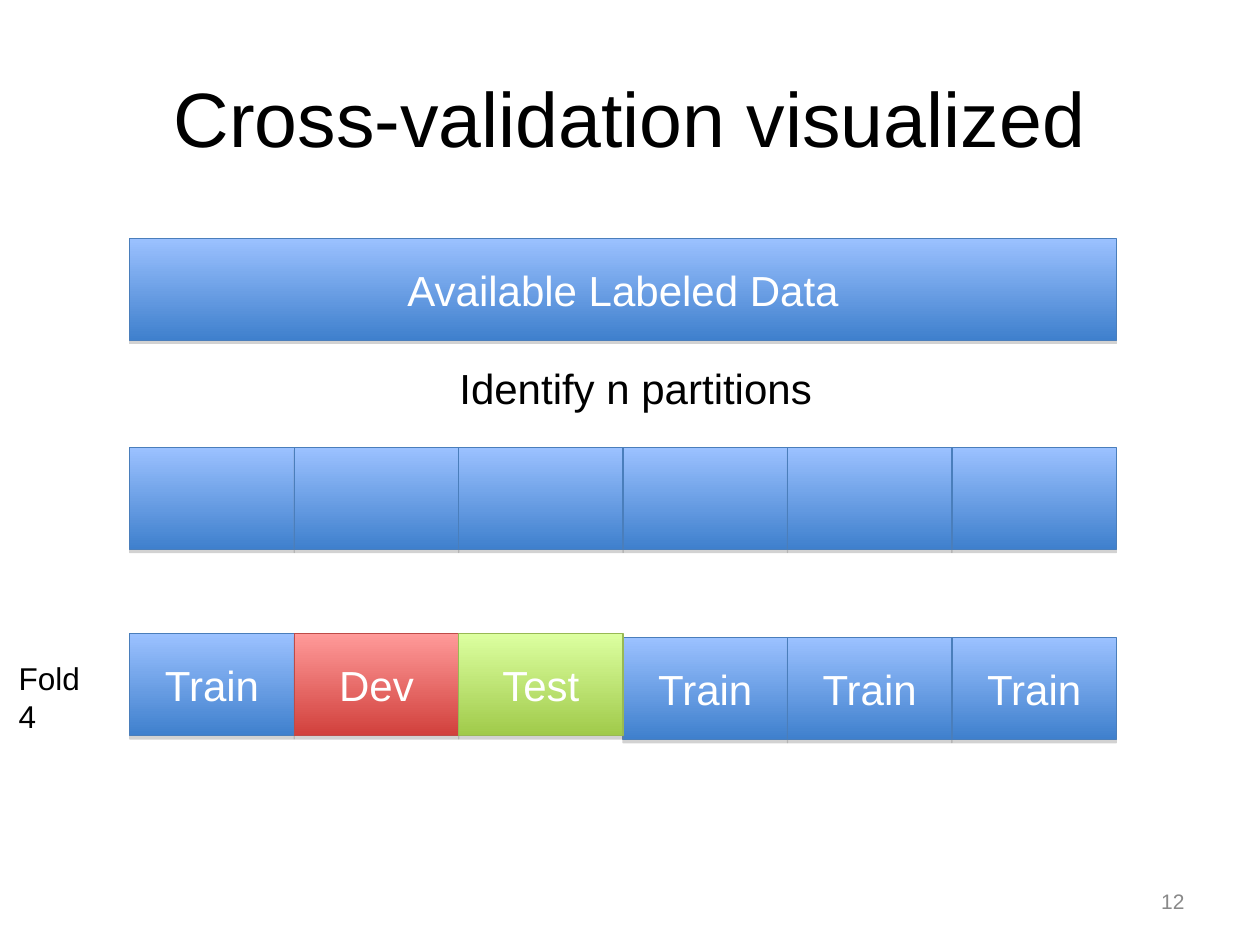
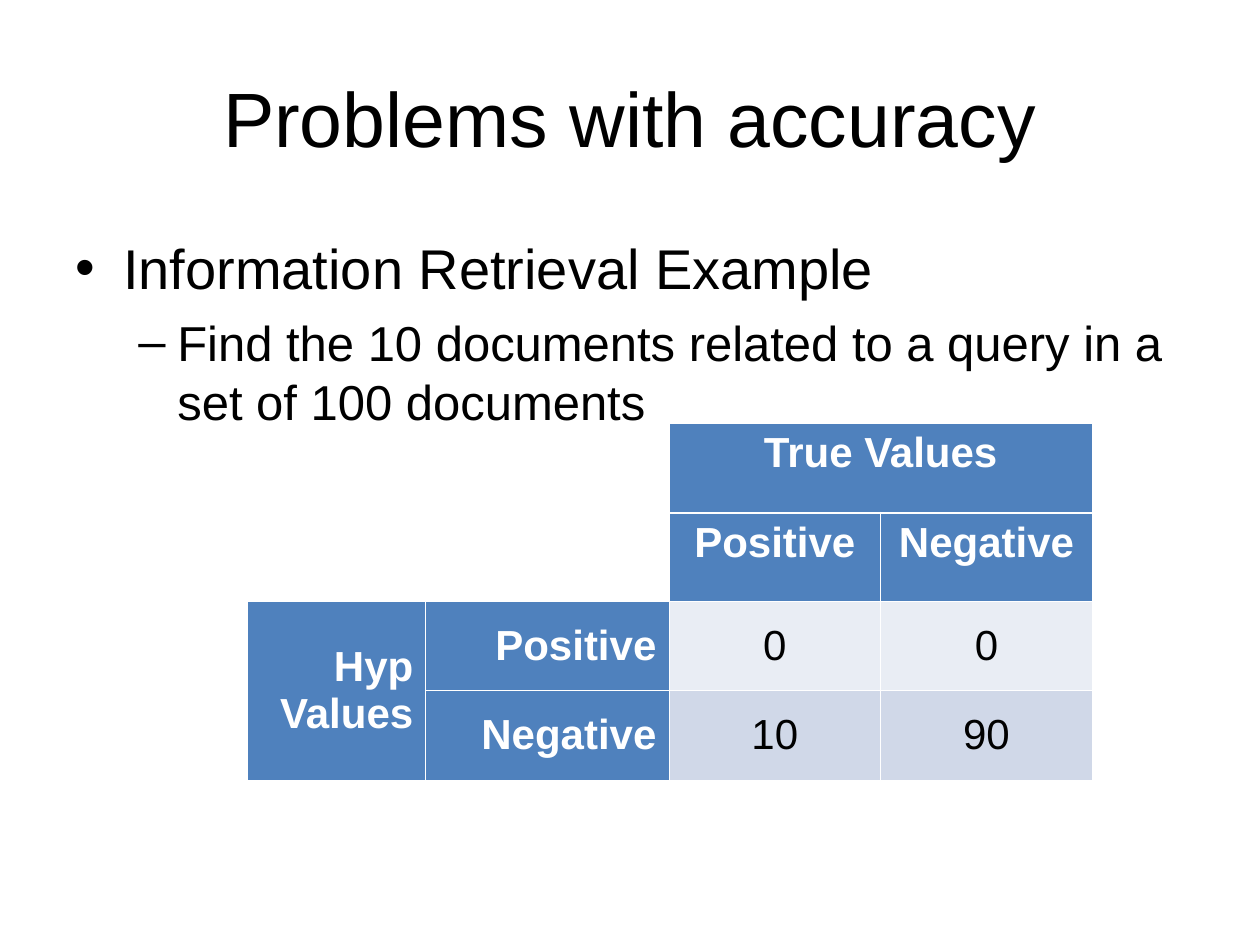
from lxml.etree import SubElement
from pptx import Presentation
from pptx.dml.color import RGBColor
from pptx.enum.shapes import MSO_SHAPE
from pptx.enum.text import MSO_ANCHOR, PP_ALIGN
from pptx.oxml.ns import qn
from pptx.util import Inches, Pt

FONT = "Arial"
BLACK = RGBColor(0x00, 0x00, 0x00)
WHITE = RGBColor(0xFF, 0xFF, 0xFF)
GRAY = RGBColor(0x89, 0x89, 0x89)
HEADER_BLUE = RGBColor(0x4F, 0x81, 0xBD)
ROW_TINTS = [RGBColor(0xE9, 0xED, 0xF4), RGBColor(0xD0, 0xD8, 0xE8)]
# Gradient top, gradient bottom, outline
BLUE = RGBColor(0x9B, 0xC1, 0xFF), RGBColor(0x3F, 0x80, 0xCD), RGBColor(0x4A, 0x7E, 0xBB)
RED = RGBColor(0xFF, 0x9A, 0x99), RGBColor(0xD1, 0x40, 0x3C), RGBColor(0xBE, 0x4B, 0x48)
GREEN = RGBColor(0xDC, 0xFF, 0xA0), RGBColor(0xA0, 0xCA, 0x4A), RGBColor(0x98, 0xB9, 0x54)


def add_text(paragraph, text, size, color=BLACK, align=PP_ALIGN.CENTER, bold=False):
    paragraph.alignment = align
    run = paragraph.add_run()
    run.text = text
    run.font.name = FONT
    run.font.size = Pt(size)
    run.font.bold = bold
    run.font.color.rgb = color


def add_block(slide, left, top, width, colors, label=""):
    """Add a gradient rectangle with a thin drop shadow and an optional label."""
    block = slide.shapes.add_shape(MSO_SHAPE.RECTANGLE, Inches(left), Inches(top),
                                   Inches(width), Inches(0.81))
    block.fill.gradient()
    block.fill.gradient_angle = 270
    for stop, color in zip(block.fill.gradient_stops, colors):
        stop.color.rgb = color
        stop.position = colors.index(color)
    block.line.color.rgb = colors[2]
    block.line.width = Pt(0.75)
    block.shadow.inherit = False
    effects = block._element.spPr.find(qn("a:effectLst"))
    shadow = SubElement(effects, qn("a:outerShdw"), blurRad="0", dist=str(Pt(1.8)),
                        dir="5400000", rotWithShape="0")
    shade = SubElement(shadow, qn("a:srgbClr"), val="808080")
    SubElement(shade, qn("a:alpha"), val="35000")
    if label:
        block.text_frame.vertical_anchor = MSO_ANCHOR.MIDDLE
        add_text(block.text_frame.paragraphs[0], label, 24, WHITE)


prs = Presentation()
prs.slide_width = Inches(10)
prs.slide_height = Inches(7.5)

slides = []
for heading in ["Cross-validation visualized", "Problems with accuracy"]:
    slide = prs.slides.add_slide(prs.slide_layouts[5])
    title = slide.shapes.title
    title.left, title.top = Inches(0.5), Inches(0.3)
    title.width, title.height = Inches(9), Inches(1.25)
    title.text_frame.vertical_anchor = MSO_ANCHOR.MIDDLE
    add_text(title.text_frame.paragraphs[0], heading, 44)
    slides.append(slide)
validation, accuracy = slides

# Cross-validation: whole data, partitions, one fold
DATA_LEFT, DATA_WIDTH = 1.03, 7.83
PART_WIDTH = DATA_WIDTH / 6
add_block(validation, DATA_LEFT, 1.89, DATA_WIDTH, BLUE, "Available Labeled Data")
for part in range(6):
    add_block(validation, DATA_LEFT + part * PART_WIDTH, 3.55, PART_WIDTH, BLUE)

# The last three blocks sit slightly lower and behind the first three
fold = [(3, "Train", BLUE), (4, "Train", BLUE), (5, "Train", BLUE),
        (0, "Train", BLUE), (1, "Dev", RED), (2, "Test", GREEN)]
for part, role, colors in fold:
    top = 5.03 if part < 3 else 5.06
    add_block(validation, DATA_LEFT + part * PART_WIDTH, top, PART_WIDTH, colors, role)

captions = [
    ("Identify n partitions", 2.92, 2.83, 4.25, 0.5, 24, BLACK, PP_ALIGN.CENTER, True),
    ("Fold 4", 0.05, 5.33, 0.89, 0.4, 18, BLACK, PP_ALIGN.LEFT, False),
    ("12", 7.17, 6.95, 2.33, 0.4, 12, GRAY, PP_ALIGN.RIGHT, True),
]
for text, left, top, width, height, size, color, align, wrap in captions:
    caption = validation.shapes.add_textbox(Inches(left), Inches(top),
                                            Inches(width), Inches(height)).text_frame
    caption.word_wrap = wrap
    caption.vertical_anchor = MSO_ANCHOR.MIDDLE
    add_text(caption.paragraphs[0], text, size, color, align)

# Accuracy: bullets
body = accuracy.shapes.add_textbox(Inches(0.5), Inches(1.75), Inches(9), Inches(4.95)).text_frame
body.word_wrap = True
body.margin_top = Inches(0.1)
bullets = [
    ("Information Retrieval Example", 0, "•", 32, 0.38, 0.38, 0),
    ("Find the 10 documents related to a query in a set of 100 documents",
     1, "–", 28, 0.81, 0.31, 7),
]
for text, level, mark, size, margin, hanging, space in bullets:
    paragraph = body.paragraphs[0] if level == 0 else body.add_paragraph()
    paragraph.level = level
    paragraph.space_before = Pt(space)
    properties = paragraph._p.get_or_add_pPr()
    properties.set("marL", str(Inches(margin)))
    properties.set("indent", str(-Inches(hanging)))
    SubElement(properties, qn("a:buFont"), typeface=FONT)
    SubElement(properties, qn("a:buChar"), char=mark)
    add_text(paragraph, text, size, align=PP_ALIGN.LEFT)

# Accuracy: confusion matrix
confusion = accuracy.shapes.add_table(4, 4, Inches(1.96), Inches(3.36),
                                      Inches(6.7), Inches(2.82)).table
for column, width in zip(confusion.columns, [1.42, 1.93, 1.68, 1.68]):
    column.width = Inches(width)
for row, height in zip(confusion.rows, [0.71, 0.7, 0.71, 0.71]):
    row.height = Inches(height)

values = [
    ["", "", "True Values", ""],
    ["", "", "Positive", "Negative"],
    ["Hyp Values", "Positive", "0", "0"],
    ["", "Negative", "10", "90"],
]
for r, row_values in enumerate(values):
    for c, text in enumerate(row_values):
        cell = confusion.cell(r, c)
        is_header = r < 2 or c < 2
        thick = {"lnT": r == 1 or (r == 2 and c < 2), "lnB": r == 0}
        for side in ["lnL", "lnR", "lnT", "lnB"]:
            width = Pt(1.47 if thick.get(side) else 0.45)
            border = SubElement(cell._tc.get_or_add_tcPr(), qn(f"a:{side}"), w=str(width))
            SubElement(SubElement(border, qn("a:solidFill")), qn("a:srgbClr"), val=str(WHITE))
        cell.fill.solid()
        if r < 2 and c < 2:
            cell.fill.fore_color.rgb = WHITE
        else:
            cell.fill.fore_color.rgb = HEADER_BLUE if is_header else ROW_TINTS[r - 2]
        cell.vertical_anchor = MSO_ANCHOR.TOP if r < 2 else MSO_ANCHOR.MIDDLE
        if text:
            add_text(cell.text_frame.paragraphs[0], text, 24, WHITE if is_header else BLACK,
                     PP_ALIGN.RIGHT if c < 2 else PP_ALIGN.CENTER, is_header)

for first, last in [((0, 0), (1, 1)), ((0, 2), (0, 3)), ((2, 0), (3, 0))]:
    confusion.cell(*first).merge(confusion.cell(*last))

prs.save("out.pptx")
